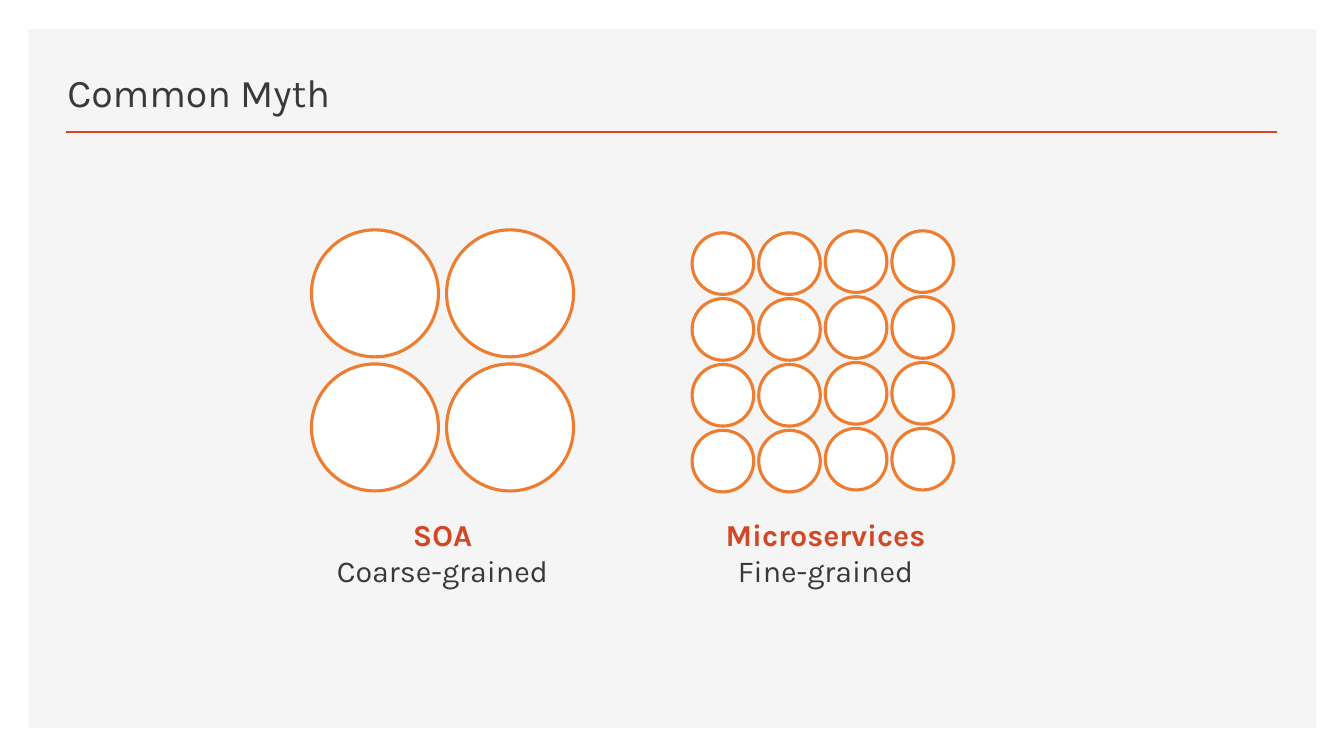
from itertools import product

from lxml.etree import SubElement
from pptx import Presentation
from pptx.dml.color import RGBColor
from pptx.enum.shapes import MSO_CONNECTOR, MSO_SHAPE
from pptx.enum.text import MSO_ANCHOR, PP_ALIGN
from pptx.oxml.ns import qn
from pptx.util import Pt

COLORS = {
    "panel": "F5F5F5",
    "accent": "D24726",
    "text": "3B3838",
    "circle": "FFFFFF",
    "outline": "ED7D31",
}
FONT = "Karla"


def color(name):
    return RGBColor.from_string(COLORS[name])


def add_filled(slide, preset, left, top, width, height, fill):
    shape = slide.shapes.add_shape(preset, Pt(left), Pt(top), Pt(width), Pt(height))
    shape.shadow.inherit = False
    shape.fill.solid()
    shape.fill.fore_color.rgb = color(fill)
    shape.line.fill.background()
    return shape


def add_text(slide, left, top, width, height, lines, size, align):
    """Place bottom-anchored lines, each given as (text, colour name, bold)."""
    box = slide.shapes.add_textbox(Pt(left), Pt(top), Pt(width), Pt(height))
    frame = box.text_frame
    frame.word_wrap = True
    frame.vertical_anchor = MSO_ANCHOR.BOTTOM
    for index, (text, ink, bold) in enumerate(lines):
        paragraph = frame.add_paragraph() if index else frame.paragraphs[0]
        paragraph.alignment = align
        run = paragraph.add_run()
        run.text = text
        run.font.name = FONT
        run.font.size = Pt(size)
        run.font.bold = bold
        run.font.color.rgb = color(ink)


def add_panel(slide, left, top, width, height):
    add_filled(slide, MSO_SHAPE.RECTANGLE, left, top, width, height, "panel")


def add_header(slide, left, top, width, title):
    """Place the title above a rule that spans the width."""
    rule_top = top + 59
    rule = slide.shapes.add_connector(
        MSO_CONNECTOR.STRAIGHT, Pt(left), Pt(rule_top), Pt(left + width), Pt(rule_top))
    rule.line.color.rgb = color("accent")
    rule.line.width = Pt(2)
    SubElement(rule._element.spPr, qn("a:effectLst"))
    add_text(slide, left - 6.5, top, 481.7, 50.4,
             [(title, "text", False)], 28, PP_ALIGN.LEFT)


def add_circle_grid(slide, left, top, width, height, count, diameter, rise=0):
    """Fill the box with count x count circles; the right half sits higher by rise."""
    column_step = (width - diameter) / (count - 1)
    row_step = (height - rise - diameter) / (count - 1)
    for row, column in product(range(count), repeat=2):
        drop = rise if column < count / 2 else 0
        circle = add_filled(
            slide, MSO_SHAPE.OVAL, left + column * column_step,
            top + drop + row * row_step, diameter, diameter, "circle")
        circle.line.color.rgb = color("outline")
        circle.line.width = Pt(2.25)


def add_caption(slide, left, top, width, height, style, grain):
    lines = [(style, "accent", True), (grain, "text", False)]
    add_text(slide, left, top, width, height, lines, 21.7, PP_ALIGN.CENTER)


def main():
    presentation = Presentation()
    presentation.slide_width = Pt(960)
    presentation.slide_height = Pt(540)
    slide = presentation.slides.add_slide(presentation.slide_layouts[6])

    add_panel(slide, 20.2, 20.9, 920.2, 499)
    add_header(slide, 47.5, 35.3, 864.7, "Common Myth")

    add_circle_grid(slide, 222.5, 164.2, 187.2, 186.5, count=2, diameter=90.7)
    add_caption(slide, 222.5, 362.9, 187.2, 61.2, "SOA", "Coarse-grained")

    add_circle_grid(slide, 494.4, 164.9, 186.7, 186.5, count=4, diameter=44, rise=1.4)
    add_caption(slide, 496.1, 362.9, 187.2, 61.2, "Microservices", "Fine-grained")

    presentation.save("out.pptx")


if __name__ == "__main__":
    main()
